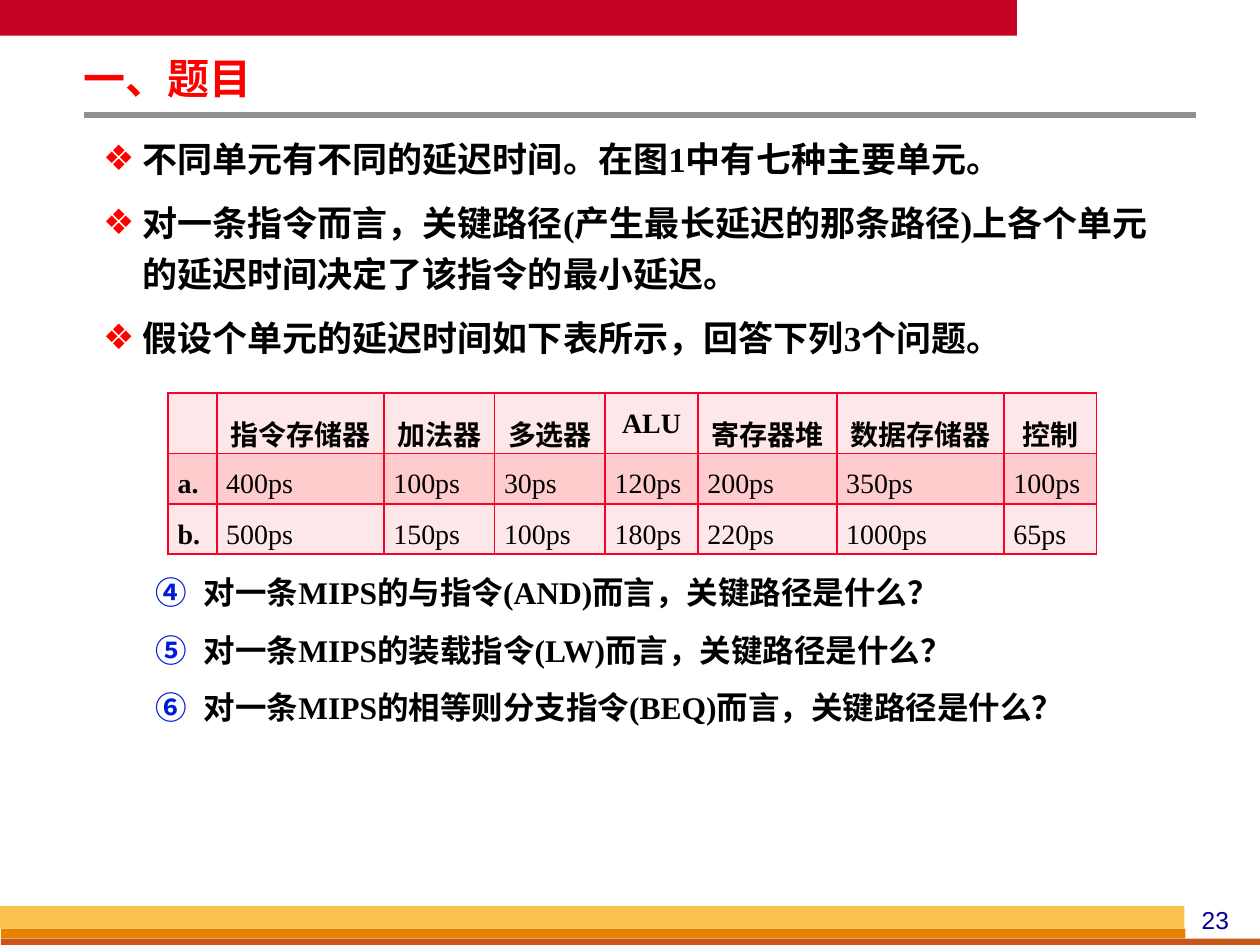
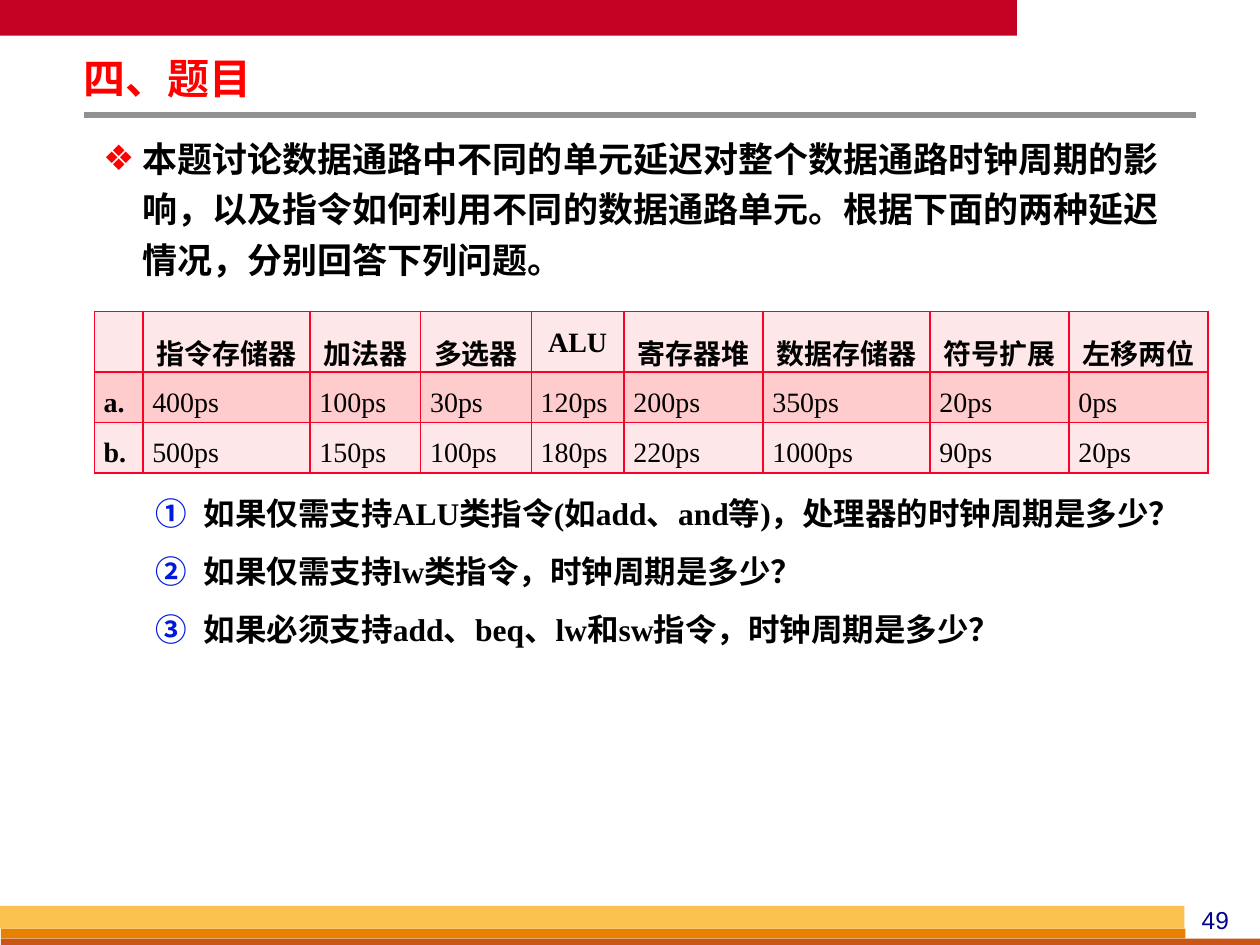
from dataclasses import dataclass

from lxml import etree
from pptx import Presentation
from pptx.dml.color import RGBColor
from pptx.enum import lang, shapes, text
from pptx.oxml.ns import qn
from pptx.util import Cm, Pt


@dataclass(frozen=True)
class Theme:
    font: str = "Times New Roman"
    number_font: str = "Arial"
    title: str = "FF0000"
    ink: str = "000000"
    number: str = "000099"
    question: str = "001ADC"
    top_band: str = "C30224"
    rule: str = "919191"
    gold: str = "FCC24F"
    orange: str = "E88000"
    rust: str = "C95616"
    grid: str = "FC0128"
    row_light: str = "FEE7E8"
    row_dark: str = "FECCCD"
    title_size: int = 24
    bullet_size: int = 20
    question_size: int = 18
    table_size: int = 16
    number_size: int = 14


T = Theme()
ALIGN = text.PP_ALIGN
TABLE_GAP = 114  # points between the bullets and the questions, where the table sits
HEADER_HEIGHT, ROW_HEIGHT = Cm(1.22), Cm(1.01)
COLUMN_WIDTHS = {"": 0.98, "指令存储器": 3.37, "加法器": 2.23, "多选器": 2.23,
                 "ALU": 1.87, "寄存器堆": 2.8, "数据存储器": 3.37, "控制": 1.87,
                 "符号扩展": 2.8, "左移两位": 2.8}


def rgb(color):
    return RGBColor.from_string(color)


def child(parent, tag, **attrs):
    return etree.SubElement(parent, qn(tag), attrs)


def write(tf, content, size, color=T.ink, font=T.font, bold=False, align=None,
          line=None, before=0, after=0):
    """Fill the empty first paragraph, or add one, and return it."""
    p = tf.paragraphs[0]
    if p.runs:
        p = tf.add_paragraph()
        p.space_before = Pt(before)
    else:
        p.space_before = Pt(0)
    p.space_after = Pt(after)
    p.alignment = align
    p.line_spacing = line
    r = p.add_run()
    r.text = content
    r.font.size = Pt(size)
    r.font.name = font
    r.font.bold = bold
    r.font.color.rgb = rgb(color)
    r.font.language_id = lang.MSO_LANGUAGE_ID.SIMPLIFIED_CHINESE
    return p


def set_bullet(p, color, left, hanging, tag, **attrs):
    pPr = p._p.get_or_add_pPr()
    pPr.set("marL", str(Cm(left)))
    pPr.set("indent", str(-Cm(hanging)))
    child(child(pPr, "a:buClr"), "a:srgbClr", val=color)
    child(pPr, tag, **attrs)


def add_band(s, left, top, width, height, color):
    sp = s.shapes.add_shape(shapes.MSO_SHAPE.RECTANGLE,
                            Cm(left), Cm(top), Cm(width), Cm(height))
    sp.shadow.inherit = False
    sp.fill.solid()
    sp.fill.fore_color.rgb = rgb(color)
    sp.line.fill.background()


def add_rule(s, left, right, y):
    cx = s.shapes.add_connector(shapes.MSO_CONNECTOR.STRAIGHT,
                                Cm(left), Cm(y), Cm(right), Cm(y))
    cx.line.color.rgb = rgb(T.rule)
    cx.line.width = Pt(3)
    child(cx._element.spPr, "a:effectLst")


def add_page_number(s, number):
    tf = s.shapes.add_textbox(Cm(23.7), Cm(18.12), Cm(1.6), Cm(0.84)).text_frame
    tf.word_wrap = True
    tf.vertical_anchor = text.MSO_ANCHOR.MIDDLE
    write(tf, str(number), T.number_size, T.number, T.number_font, align=ALIGN.CENTER)


def add_frame(s, number):
    add_band(s, 0, 0, 20.5, 0.72, T.top_band)
    add_rule(s, 1.7, 24.1, 2.32)
    add_band(s, 0.02, 18.72, 23.88, 0.2, T.orange)
    add_band(s, 0.02, 18.92, 25.38, 0.13, T.rust)
    add_band(s, 0, 18.26, 23.88, 0.46, T.gold)
    add_page_number(s, number)


def place(sp, left, top, width, height, anchor):
    """Move a placeholder and return its text frame."""
    sp.left, sp.top, sp.width, sp.height = Cm(left), Cm(top), Cm(width), Cm(height)
    tf = sp.text_frame
    tf.word_wrap = True
    tf.auto_size = text.MSO_AUTO_SIZE.NONE
    tf.vertical_anchor = anchor
    tf.margin_left = tf.margin_right = Cm(0.18)
    tf.margin_top = tf.margin_bottom = Cm(0.08)
    return tf


def add_title(s, content):
    tf = place(s.shapes.title, 1.5, 1.12, 14.6, 1.04, text.MSO_ANCHOR.MIDDLE)
    write(tf, content, T.title_size, T.title, bold=True, align=ALIGN.LEFT, line=0.87)


def add_body(s, width, bullets, questions, start):
    tf = place(s.placeholders[1], 1.9, 2.52, width, 12.5, text.MSO_ANCHOR.TOP)
    for bullet in bullets:
        p = write(tf, bullet, T.bullet_size, bold=True, line=1.2, before=4, after=4)
        set_bullet(p, T.title, 0.79, 0.79, "a:buChar", char="❖")
    for i, question in enumerate(questions):
        p = write(tf, question, T.question_size, bold=True, line=1.2,
                  before=3.6 if i else TABLE_GAP, after=3.6)
        p.level = 1
        set_bullet(p, T.question, 2.03, 0.97, "a:buAutoNum",
                   type="circleNumDbPlain", startAt=str(start))


def format_cell(cell, fill):
    cell.margin_left = cell.margin_right = Cm(0.19)
    cell.margin_top = cell.margin_bottom = 0
    tcPr = cell._tc.get_or_add_tcPr()
    for side in ("a:lnL", "a:lnR", "a:lnT", "a:lnB"):
        ln = child(tcPr, side, w=str(Pt(1)))
        child(child(ln, "a:solidFill"), "a:srgbClr", val=T.grid)
    cell.fill.solid()
    cell.fill.fore_color.rgb = rgb(fill)


def add_delay_table(s, left, top, units, delays):
    """Draw one column per unit and one row per set of delays."""
    rows = [["", *units]] + [[name, *(f"{d}ps" for d in values)]
                             for name, values in delays.items()]
    widths = [Cm(COLUMN_WIDTHS[label]) for label in rows[0]]
    heights = [HEADER_HEIGHT] + [ROW_HEIGHT] * len(delays)
    table = s.shapes.add_table(len(rows), len(widths), Cm(left), Cm(top),
                               sum(widths), sum(heights)).table
    table.first_row = table.horz_banding = False
    for column, width in zip(table.columns, widths):
        column.width = width
    for i, row in enumerate(rows):
        table.rows[i].height = heights[i]
        for j, label in enumerate(row):
            cell = table.cell(i, j)
            format_cell(cell, T.row_dark if i % 2 else T.row_light)
            if label:
                write(cell.text_frame, label, T.table_size, bold=i == 0 or j == 0,
                      align=ALIGN.JUSTIFY if i else ALIGN.CENTER, line=1.5)


def add_exercise(prs, number, title, bullets, questions, start, body_width,
                 table_at, units, delays):
    s = prs.slides.add_slide(prs.slide_layouts[1])
    add_frame(s, number)
    add_title(s, title)
    add_body(s, body_width, bullets, questions, start)
    add_delay_table(s, *table_at, units, delays)


def main():
    prs = Presentation()
    prs.slide_width, prs.slide_height = Cm(25.4), Cm(19.05)
    units = ["指令存储器", "加法器", "多选器", "ALU", "寄存器堆", "数据存储器"]
    delays_a = [400, 100, 30, 120, 200, 350]
    delays_b = [500, 150, 100, 180, 220, 1000]

    add_exercise(
        prs, 23, "一、题目",
        bullets=["不同单元有不同的延迟时间。在图1中有七种主要单元。",
                 "对一条指令而言，关键路径(产生最长延迟的那条路径)上各个单元的延迟时间决定了该指令的最小延迟。",
                 "假设个单元的延迟时间如下表所示，回答下列3个问题。"],
        questions=["对一条MIPS的与指令(AND)而言，关键路径是什么？",
                   "对一条MIPS的装载指令(LW)而言，关键路径是什么？",
                   "对一条MIPS的相等则分支指令(BEQ)而言，关键路径是什么？"],
        start=4, body_width=21.8, table_at=(3.39, 7.92),
        units=units + ["控制"],
        delays={"a.": delays_a + [100], "b.": delays_b + [65]})

    add_exercise(
        prs, 49, "四、题目",
        bullets=["本题讨论数据通路中不同的单元延迟对整个数据通路时钟周期的影响，"
                 "以及指令如何利用不同的数据通路单元。根据下面的两种延迟情况，分别回答下列问题。"],
        questions=["如果仅需支持ALU类指令(如add、and等)，处理器的时钟周期是多少？",
                   "如果仅需支持lw类指令，时钟周期是多少？",
                   "如果必须支持add、beq、lw和sw指令，时钟周期是多少？"],
        start=1, body_width=22.2, table_at=(1.9, 6.28),
        units=units + ["符号扩展", "左移两位"],
        delays={"a.": delays_a + [20, 0], "b.": delays_b + [90, 20]})

    prs.save("out.pptx")


if __name__ == "__main__":
    main()
